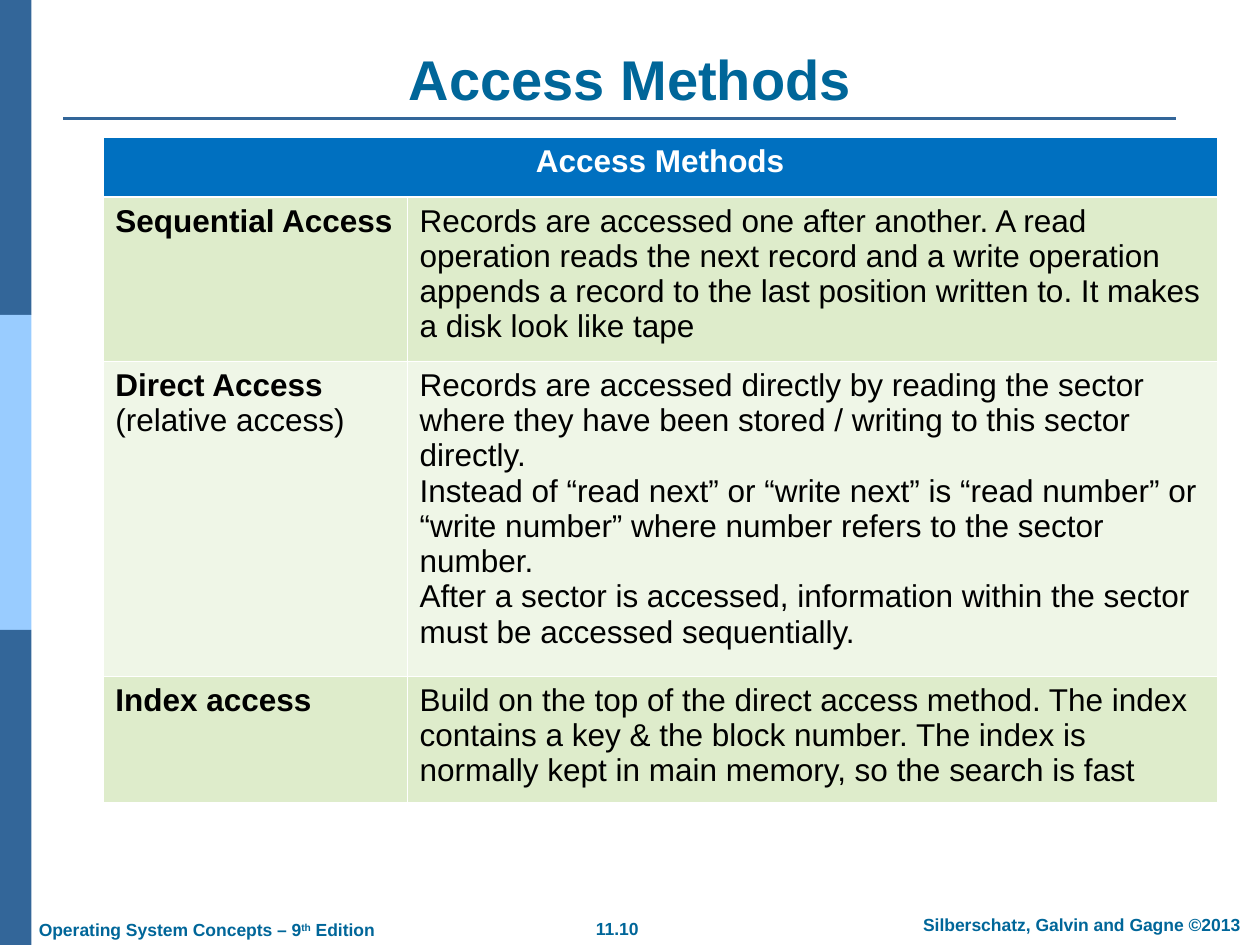
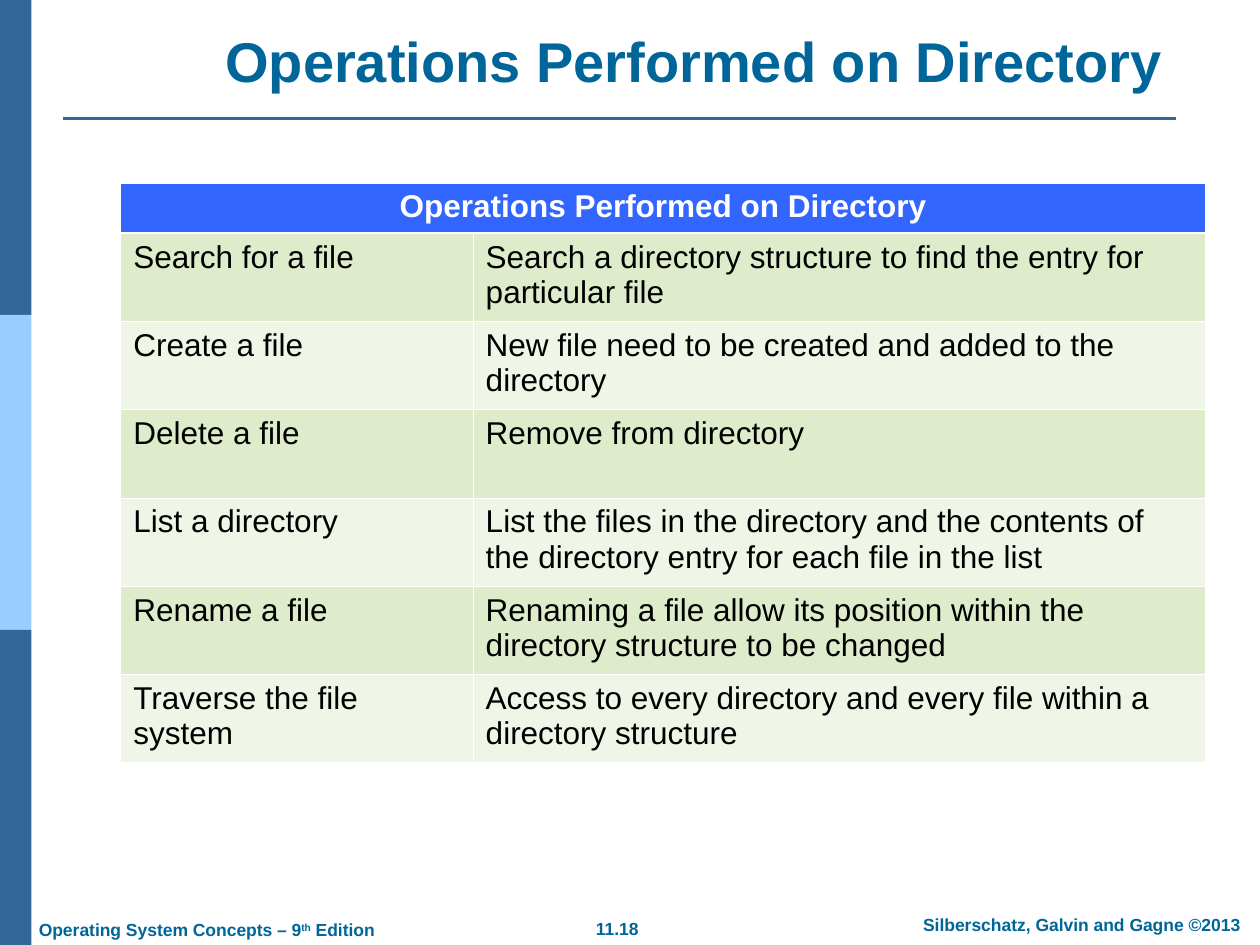
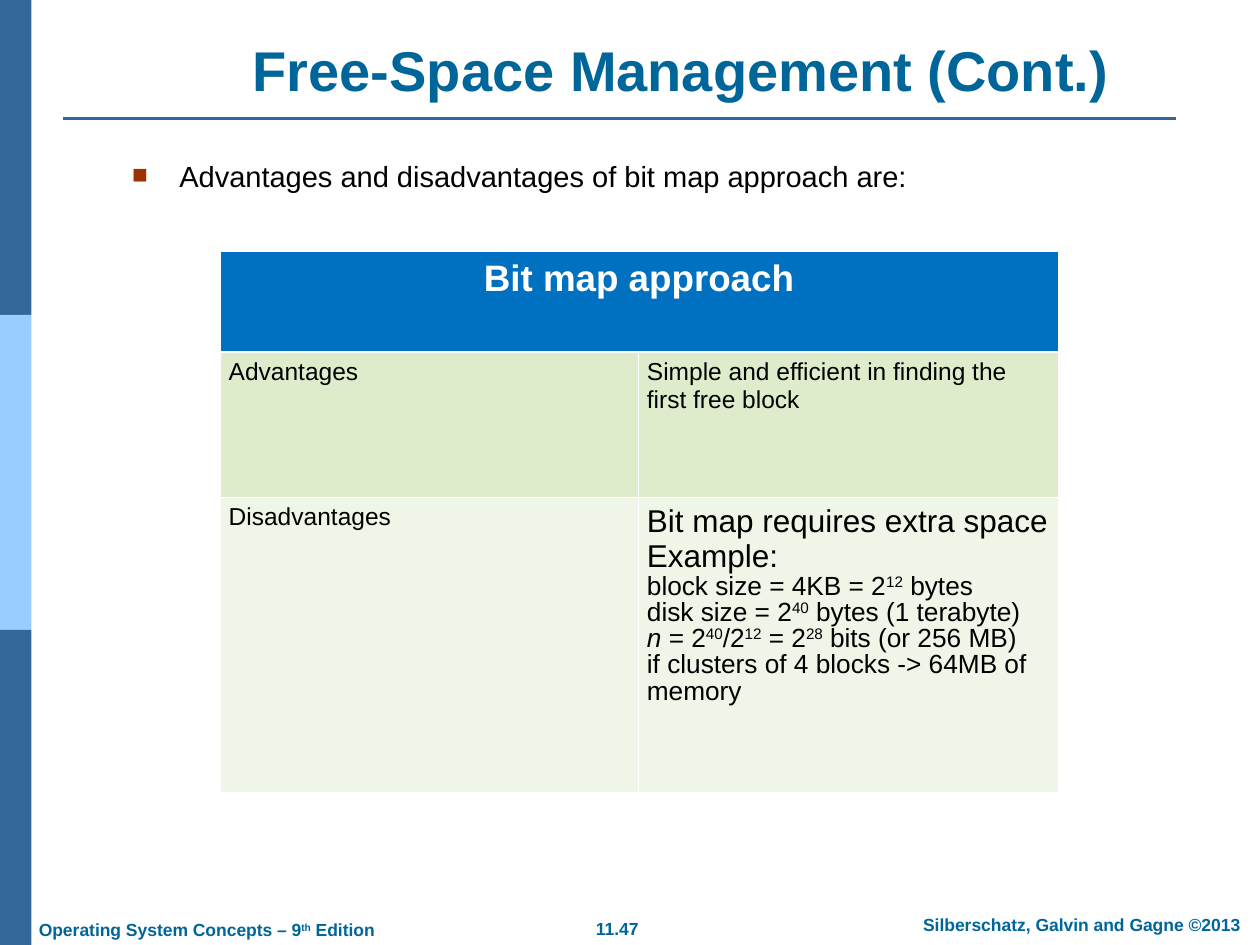
import dataclasses

import lxml.etree
import pptx
import pptx.dml.color
import pptx.enum.shapes
import pptx.enum.text
import pptx.oxml
import pptx.oxml.ns
import pptx.util

Pt = pptx.util.Pt
ALIGN = pptx.enum.text.PP_ALIGN
ANCHOR = pptx.enum.text.MSO_ANCHOR

COLORS = {
    "band": "336699",
    "band_light": "99CCFF",
    "heading": "006699",
    "bullet": "993300",
    "text": "000000",
    "white": "FFFFFF",
    "header": "0070C0",
    "header_bright": "3366FF",
    "row_dark": "DEECCB",
    "row_light": "EFF6E7",
}

# Shared text formats
TITLE_FONT = {"size": Pt(32), "bold": True, "color": "heading"}
FOOTER_FONT = {"size": Pt(10), "bold": True, "color": "heading"}
HEADER_FONT = {"size": Pt(18), "bold": True, "color": "white"}
CELL_FONT = {"size": Pt(18), "bold": False, "color": "text"}
CENTERED = {"alignment": ALIGN.CENTER}
BOLD = {"bold": True}
ITALIC = {"italic": True}
SUPERSCRIPT = {"baseline": "30000"}
THIN_BORDER, THICK_BORDER = 0.45, 1.47


@dataclasses.dataclass
class Paragraph:
    """Runs are strings or (string, font values) pairs."""
    runs: list
    font: dict = dataclasses.field(default_factory=dict)
    layout: dict = dataclasses.field(default_factory=dict)


def rgb(name):
    return pptx.dml.color.RGBColor.from_string(COLORS[name])


def format_run(run, values):
    run.font.name = "Arial"
    for name, value in values.items():
        if name == "color":
            run.font.color.rgb = rgb(value)
        elif name == "baseline":
            run._r.get_or_add_rPr().set("baseline", value)
        else:
            setattr(run.font, name, value)


def write_text(frame, content, font, layout=None):
    """Write a string or a list of Paragraph objects into a text frame."""
    paragraphs = [Paragraph([content])] if isinstance(content, str) else content
    for index, item in enumerate(paragraphs):
        paragraph = frame.add_paragraph() if index else frame.paragraphs[0]
        for name, value in {**(layout or {}), **item.layout}.items():
            setattr(paragraph, name, value)
        for part in item.runs:
            text, own_font = (part, {}) if isinstance(part, str) else part
            run = paragraph.add_run()
            run.text = text
            format_run(run, {**font, **item.font, **own_font})


def add_text(slide, box, content, font, layout=None, **frame_values):
    shape = slide.shapes.add_textbox(*map(Pt, box))
    for name, value in {"word_wrap": True, **frame_values}.items():
        setattr(shape.text_frame, name, value)
    write_text(shape.text_frame, content, font, layout)
    return shape


def add_side_bands(slide):
    for index, color in enumerate(["band", "band_light", "band"]):
        shape = slide.shapes.add_shape(
            pptx.enum.shapes.MSO_SHAPE.RECTANGLE,
            Pt(0), Pt(180 * index), Pt(18), Pt(180))
        shape.shadow.inherit = False
        shape.fill.solid()
        shape.fill.fore_color.rgb = rgb(color)
        shape.line.fill.background()


def add_title_rule(slide):
    rule = slide.shapes.add_connector(
        pptx.enum.shapes.MSO_CONNECTOR.STRAIGHT,
        Pt(36), Pt(67.7), Pt(672), Pt(67.7))
    rule.line.color.rgb = rgb("band")
    rule.line.width = Pt(1.5)
    lxml.etree.SubElement(rule._element.spPr, pptx.oxml.ns.qn("a:effectLst"))


def add_footers(slide, number):
    edition = [Paragraph(["Operating System Concepts – 9",
                          ("th", SUPERSCRIPT), " Edition"])]
    footers = [
        ((314.6, 521, 76.3, 19), number, CENTERED),
        ((511.2, 518.7, 213.8, 19), "Silberschatz, Galvin and Gagne ©2013", CENTERED),
        ((15.1, 521.5, 230, 18.5), edition, {}),
    ]
    for box, content, layout in footers:
        add_text(slide, box, content, FOOTER_FONT, layout)


def add_content_slide(presentation, title, title_box, number):
    """Add a slide with the bands, rule, footers and title that all share."""
    slide = presentation.slides.add_slide(presentation.slide_layouts[6])
    add_side_bands(slide)
    add_title_rule(slide)
    add_footers(slide, number)
    add_text(slide, title_box, title, TITLE_FONT, CENTERED,
             vertical_anchor=ANCHOR.BOTTOM)
    return slide


def add_bullet(paragraph, indent):
    properties = paragraph._p.get_or_add_pPr()
    properties.set("marL", str(Pt(indent)))
    properties.set("indent", str(-Pt(indent)))
    namespace = pptx.oxml.ns.nsdecls("a")
    for xml in (
        f'<a:buClr {namespace}><a:srgbClr val="{COLORS["bullet"]}"/></a:buClr>',
        f'<a:buSzPct {namespace} val="90000"/>',
        f'<a:buFont {namespace} typeface="Arial"/>',
        f'<a:buChar {namespace} char="■"/>',
    ):
        properties.append(pptx.oxml.parse_xml(xml))


def set_borders(cell, widths):
    """Draw white borders; widths are for left, right, top and bottom."""
    properties = cell._tc.get_or_add_tcPr()
    for index, (side, width) in enumerate(zip("LRTB", widths)):
        properties.insert(index, pptx.oxml.parse_xml(
            f'<a:ln{side} {pptx.oxml.ns.nsdecls("a")} w="{Pt(width)}">'
            f'<a:solidFill><a:srgbClr val="{COLORS["white"]}"/></a:solidFill>'
            f'</a:ln{side}>'))


def add_banded_table(slide, origin, column_widths, row_heights, header, rows,
                     header_color="header", header_font=None, cell_font=None,
                     side_margin=7.2):
    """Add a table with one merged header row and alternating row fills."""
    table = slide.shapes.add_table(
        len(row_heights), len(column_widths), *map(Pt, origin),
        Pt(sum(column_widths)), Pt(sum(row_heights))).table
    for column, width in zip(table.columns, column_widths):
        column.width = Pt(width)
    for row, height in zip(table.rows, row_heights):
        row.height = Pt(height)
    table.cell(0, 0).merge(table.cell(0, len(column_widths) - 1))

    for row_index, contents in enumerate([[header, ""], *rows]):
        is_header = row_index == 0
        fill = header_color if is_header else ("row_light", "row_dark")[row_index % 2]
        font = {**HEADER_FONT, **(header_font or {})} if is_header else {
            **CELL_FONT, **(cell_font or {})}
        top = THICK_BORDER if row_index == 1 else THIN_BORDER
        bottom = THICK_BORDER if is_header else THIN_BORDER
        for column_index, content in enumerate(contents):
            cell = table.cell(row_index, column_index)
            cell.fill.solid()
            cell.fill.fore_color.rgb = rgb(fill)
            cell.margin_left = cell.margin_right = Pt(side_margin)
            set_borders(cell, [THIN_BORDER, THIN_BORDER, top, bottom])
            if content:
                write_text(cell.text_frame, content, font,
                           CENTERED if is_header else {})


def build_access_methods(presentation):
    slide = add_content_slide(presentation, "Access Methods",
                              (36, 22, 648, 45.4), "11.10")
    rows = [
        [[Paragraph(["Sequential Access"], BOLD)],
         "Records are accessed one after another. A read operation reads the next "
         "record and a write operation appends a record to the last position "
         "written to. It makes a disk look like tape"],
        [[Paragraph([("Direct Access ", BOLD), "(relative access)"])],
         [Paragraph([text]) for text in (
             "Records are accessed directly by reading the sector where they have "
             "been stored / writing to this sector directly.",
             "Instead of “read next” or “write next” is “read number” or “write "
             "number” where number refers to the sector number.",
             "After a sector is accessed, information within the sector must be "
             "accessed sequentially.")]],
        [[Paragraph(["Index access"], BOLD)],
         "Build on the top of the direct access method. The index contains a key & "
         "the block number. The index is normally kept in main memory, so the "
         "search is fast"],
    ]
    add_banded_table(slide, (58.8, 78.7), [173.8, 463], [34, 93.8, 180, 72],
                     "Access Methods", rows)


def build_directory_operations(presentation):
    title = "Operations Performed on Directory"
    slide = add_content_slide(presentation, title, (72.7, 11.5, 648, 45.4), "11.18")
    rows = [
        ["Search for a file",
         "Search a directory structure to find the entry for particular file"],
        ["Create a file", "New file need to be created and added to the directory"],
        ["Delete a file", "Remove from directory"],
        ["List a directory",
         "List the files in the directory and the contents of the directory entry "
         "for each file in the list"],
        ["Rename a file",
         "Renaming a file allow its position within the directory structure to be "
         "changed"],
        ["Traverse the file system",
         "Access to every directory and every file within a directory structure"],
    ]
    add_banded_table(slide, (69, 104.5), [201.4, 418.5],
                     [28.8] + [50.4] * len(rows), title, rows,
                     header_color="header_bright")


def build_free_space(presentation):
    slide = add_content_slide(presentation, "Free-Space Management (Cont.)",
                              (94.3, 16.6, 589.7, 45.4), "11.47")
    body = add_text(slide, (68.4, 92.2, 540, 56.9),
                    "Advantages and disadvantages of bit map approach are:",
                    {"size": Pt(16.6), "color": "text"}, {"line_spacing": 0.7})
    add_bullet(body.text_frame.paragraphs[0], 27)

    calculation = [
        ["block size = 4KB = 2", ("12", SUPERSCRIPT), " bytes"],
        ["disk size = 2", ("40", SUPERSCRIPT), " bytes (1 terabyte)"],
        [("n", ITALIC), " = 2", ("40", SUPERSCRIPT), "/2", ("12", SUPERSCRIPT),
         " = 2", ("28", SUPERSCRIPT), " bits (or 256 MB)"],
        ["if clusters of 4 blocks -> 64MB of memory"],
    ]
    drawbacks = [Paragraph(["Bit map requires extra space Example:"], {"size": Pt(18)})]
    drawbacks += [Paragraph(runs, {"size": Pt(15)}, {"line_spacing": 0.9})
                  for runs in calculation]
    rows = [
        ["Advantages", "Simple and efficient in finding the first free block"],
        ["Disadvantages", drawbacks],
    ]
    add_banded_table(slide, (125.7, 143.8), [239, 240], [57.4, 83, 168.6],
                     "Bit map approach", rows, header_font={"size": Pt(21)},
                     cell_font={"size": Pt(14)}, side_margin=5)


def main():
    presentation = pptx.Presentation()
    presentation.slide_width = Pt(720)
    presentation.slide_height = Pt(540)
    build_access_methods(presentation)
    build_directory_operations(presentation)
    build_free_space(presentation)
    presentation.save("out.pptx")


if __name__ == "__main__":
    main()
